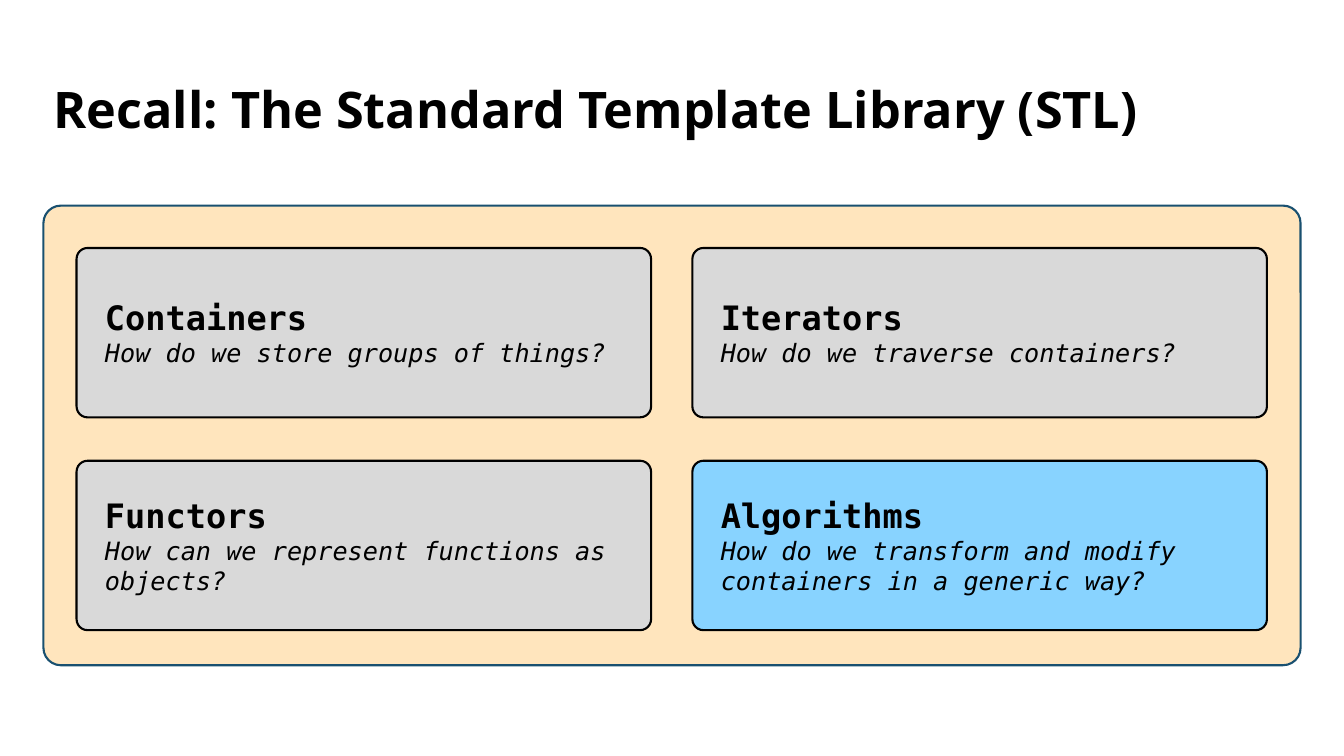
from pptx import Presentation
from pptx.dml.color import RGBColor as Rgb
from pptx.enum.shapes import MSO_SHAPE as Preset
from pptx.enum.text import MSO_ANCHOR as Anchor, MSO_AUTO_SIZE as AutoSize, PP_ALIGN as Align
from pptx.util import Pt

HEADING = "Recall: The Standard Template Library (STL)"
TOPICS = [
    ("Containers", "How do we store groups of things?", "card"),
    ("Iterators", "How do we traverse containers?", "card"),
    ("Functors", "How can we represent functions as objects?", "card"),
    ("Algorithms", "How do we transform and modify containers in a generic way?", "current"),
]

THEME = {
    "panel": Rgb.from_string("FFE5BD"),
    "panel_edge": Rgb.from_string("195070"),
    "card": Rgb.from_string("D9D9D9"),
    "current": Rgb.from_string("88D3FF"),
    "ink": Rgb.from_string("000000"),
    "edge_width": Pt(1.5),
    "heading": {"name": "Open Sans", "size": Pt(36), "bold": True},
    "topic": {"name": "DejaVu Sans Mono", "size": Pt(24), "bold": True},
    "question": {"name": "DejaVu Sans Mono", "size": Pt(18), "italic": True, "bold": False},
}

MARGIN, CONTENT_WIDTH = 31, 898
HEADING_TOP, HEADING_HEIGHT = 49.7, 60.5
PANEL_TOP, PANEL_HEIGHT = 146.9, 328.3
COLUMNS = 2
CARD_LEFT, CARD_TOP = 54.7, 177.1
CARD_WIDTH, CARD_HEIGHT = 410.4, 121
COLUMN_GAP, ROW_GAP = 29.5, 31
CARD_INSET = 18


def set_all(target, values):
    for key, value in values.items():
        setattr(target, key, value)


def style(font, role):
    set_all(font, THEME[role])
    font.color.rgb = THEME["ink"]


def rounded_box(slide, left, top, width, height, fill, edge, rounding):
    box = slide.shapes.add_shape(
        Preset.ROUNDED_RECTANGLE, Pt(left), Pt(top), Pt(width), Pt(height))
    box.adjustments[0] = rounding
    box.shadow.inherit = False
    box.fill.solid()
    box.fill.fore_color.rgb = THEME[fill]
    box.line.color.rgb = THEME[edge]
    box.line.width = THEME["edge_width"]
    return box


def add_heading(slide):
    heading = slide.shapes.title
    set_all(heading, {"left": Pt(MARGIN), "top": Pt(HEADING_TOP),
                      "width": Pt(CONTENT_WIDTH), "height": Pt(HEADING_HEIGHT)})
    heading.text_frame.text = HEADING
    set_all(heading.text_frame, {"vertical_anchor": Anchor.MIDDLE,
                                 "auto_size": AutoSize.NONE, "word_wrap": True})
    line = heading.text_frame.paragraphs[0]
    set_all(line, {"alignment": Align.LEFT, "line_spacing": 0.9})
    style(line.runs[0].font, "heading")


def add_card(slide, index, topic, question, fill):
    row, column = divmod(index, COLUMNS)
    card = rounded_box(
        slide,
        CARD_LEFT + column * (CARD_WIDTH + COLUMN_GAP),
        CARD_TOP + row * (CARD_HEIGHT + ROW_GAP),
        CARD_WIDTH, CARD_HEIGHT, fill, "ink", 0.065)
    frame = card.text_frame
    set_all(frame, {"word_wrap": True, "vertical_anchor": Anchor.MIDDLE})
    set_all(frame, {f"margin_{side}": Pt(CARD_INSET)
                    for side in ("left", "top", "right", "bottom")})
    lines = [(frame.paragraphs[0], topic, "topic"),
             (frame.add_paragraph(), question, "question")]
    for line, words, role in lines:
        line.alignment = Align.LEFT
        run = line.add_run()
        run.text = words
        style(run.font, role)


def main():
    deck = Presentation()
    set_all(deck, {"slide_width": Pt(960), "slide_height": Pt(540)})
    slide = deck.slides.add_slide(deck.slide_layouts[5])
    add_heading(slide)
    rounded_box(slide, MARGIN, PANEL_TOP, CONTENT_WIDTH, PANEL_HEIGHT,
                "panel", "panel_edge", 0.038)
    for index, (topic, question, fill) in enumerate(TOPICS):
        add_card(slide, index, topic, question, fill)
    deck.save("out.pptx")


if __name__ == "__main__":
    main()
